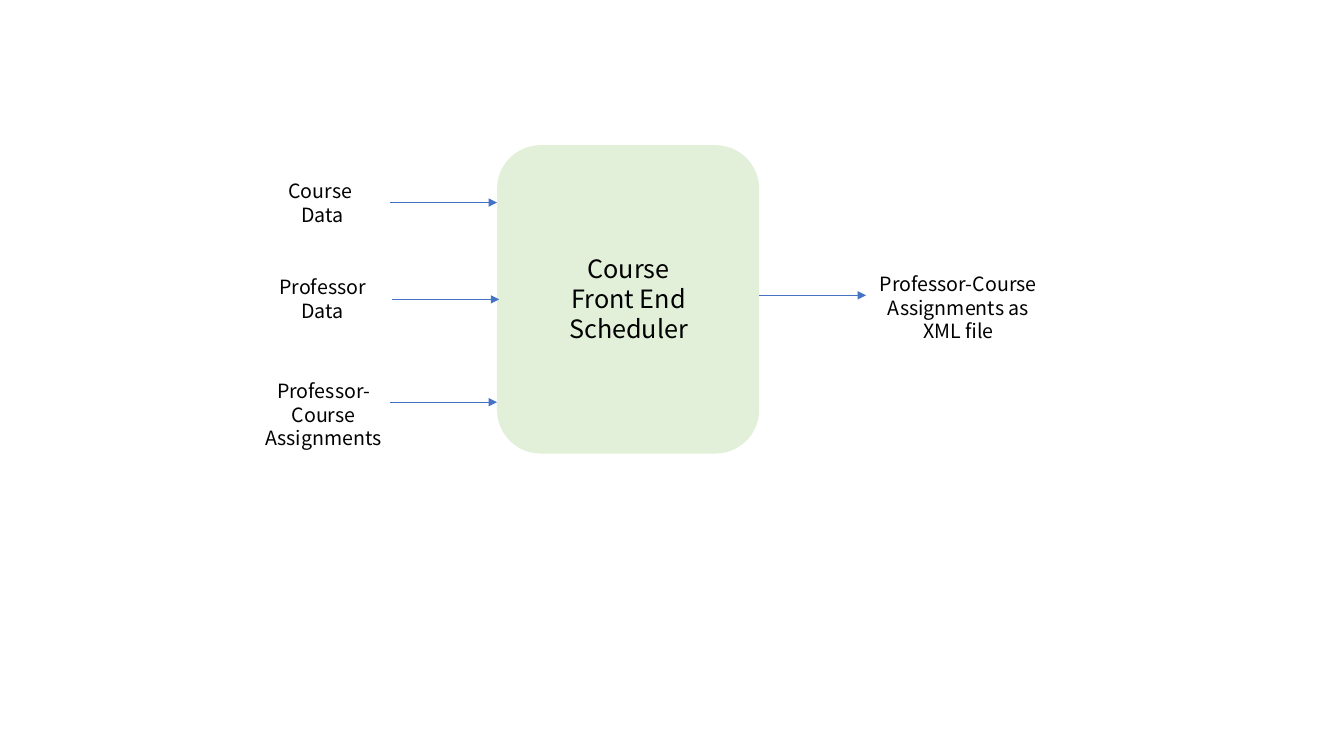
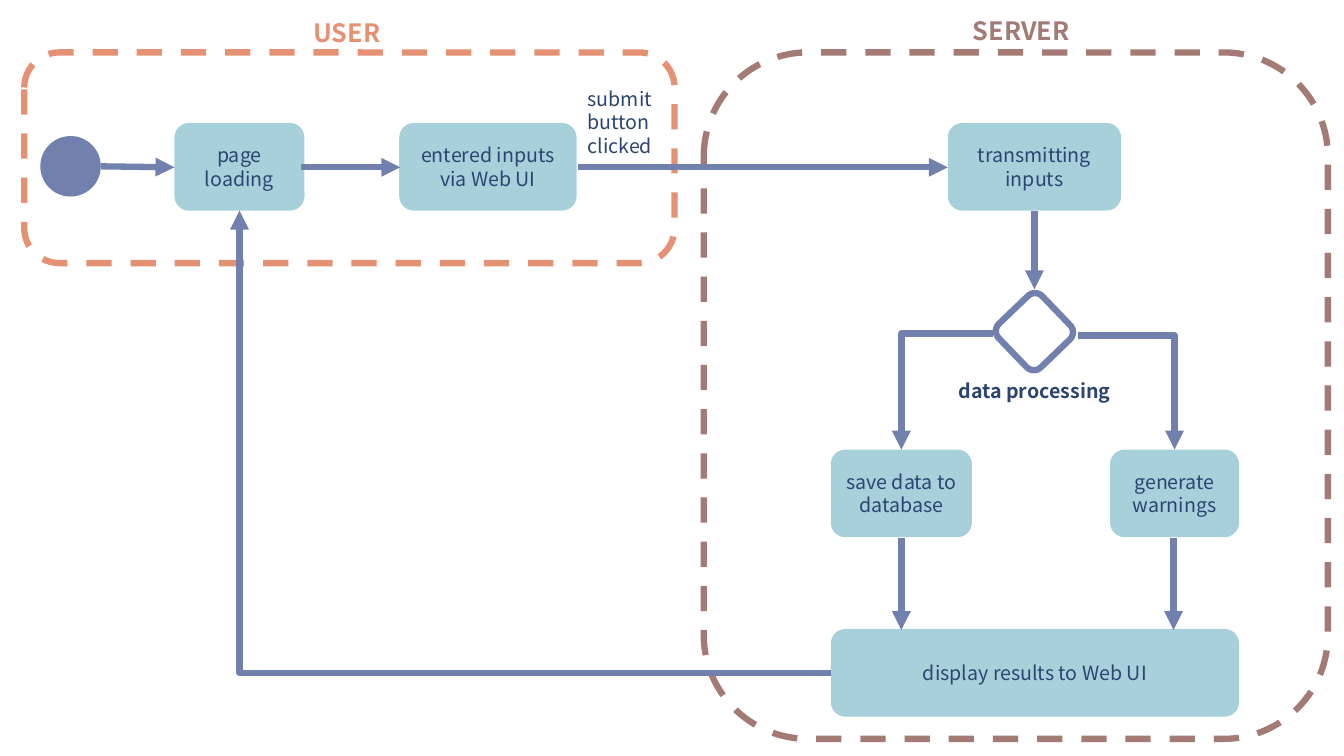
from lxml import etree
from pptx import Presentation
from pptx.dml.color import RGBColor
from pptx.enum.dml import MSO_LINE
from pptx.enum.shapes import MSO_CONNECTOR, MSO_SHAPE
from pptx.enum.text import MSO_ANCHOR, PP_ALIGN
from pptx.oxml.ns import qn
from pptx.util import Inches, Pt

ROUNDED = MSO_SHAPE.ROUNDED_RECTANGLE
OVAL = MSO_SHAPE.OVAL
STRAIGHT = MSO_CONNECTOR.STRAIGHT
ELBOW = MSO_CONNECTOR.ELBOW
DASH = MSO_LINE.DASH
LEFT, CENTER = PP_ALIGN.LEFT, PP_ALIGN.CENTER
TOP, MIDDLE = MSO_ANCHOR.TOP, MSO_ANCHOR.MIDDLE

FONT = "Noto Sans CJK JP"
LINE_PITCH = 1.2
THICK, THIN = 4.5, 0.5
BLACK = "000000"
BLUE = "4472C4"
GREEN = "E2F0D9"
ORANGE = "E49273"
BROWN = "A37A74"
SLATE = "7180AC"
AQUA = "A8D0DB"
NAVY = "2B4570"

# Connection sites of a rectangle
SITE_TOP, SITE_LEFT, SITE_BOTTOM = 0, 1, 2


def color(value):
    return RGBColor.from_string(value)


class Diagram:
    """Holds the shared style and the current slide."""

    def __init__(self):
        self.presentation = Presentation()
        self.presentation.slide_width = Inches(13.33)
        self.presentation.slide_height = Inches(7.5)
        self.slide = None

    def new_slide(self):
        layout = self.presentation.slide_layouts[6]
        self.slide = self.presentation.slides.add_slide(layout)

    def set_text(self, shape, text, size, text_color, bold, align, anchor):
        frame = shape.text_frame
        frame.word_wrap = True
        frame.vertical_anchor = anchor
        frame.text = text
        for paragraph in frame.paragraphs:
            paragraph.alignment = align
            paragraph.line_spacing = Pt(round(size * LINE_PITCH, 1))
            font = paragraph.font
            font.name, font.size, font.bold = FONT, Pt(size), bold
            font.color.rgb = color(text_color)

    def shape(self, kind, left, top, width, height, fill=None, line=None):
        shape = self.slide.shapes.add_shape(
            kind, Inches(left), Inches(top), Inches(width), Inches(height))
        shape.shadow.inherit = False
        if fill:
            shape.fill.solid()
            shape.fill.fore_color.rgb = color(fill)
        else:
            shape.fill.background()
        if line:
            shape.line.color.rgb = color(line)
            shape.line.width = Pt(THICK)
        else:
            shape.line.fill.background()
        return shape

    def step(self, text, left, top, width):
        box = self.shape(ROUNDED, left, top, width, 0.87, fill=AQUA)
        self.set_text(box, text, 14, NAVY, False, CENTER, MIDDLE)
        return box

    def zone(self, left, width, height, line):
        frame = self.shape(ROUNDED, left, 0.52, width, height, line=line)
        frame.line.dash_style = DASH

    def label(self, text, left, top, width, height, size=14,
              text_color=BLACK, bold=False, align=CENTER):
        box = self.slide.shapes.add_textbox(
            Inches(left), Inches(top), Inches(width), Inches(height))
        self.set_text(box, text, size, text_color, bold, align, TOP)

    def arrow(self, start, end, line=SLATE, width=THICK, kind=STRAIGHT):
        connector = self.slide.shapes.add_connector(
            kind, *(Inches(value) for value in (*start, *end)))
        connector.line.color.rgb = color(line)
        connector.line.width = Pt(width)
        properties = connector._element.spPr
        outline = properties.find(qn("a:ln"))
        etree.SubElement(outline, qn("a:tailEnd"), type="triangle")
        etree.SubElement(properties, qn("a:effectLst"))
        return connector

    def corner_arrow(self, start, end, target, site):
        """Runs across first, then up or down into the target."""
        connector = self.arrow(start, end, kind=ELBOW)
        geometry = connector._element.spPr.find(qn("a:prstGeom"))
        geometry.set("prst", "bentConnector2")
        connector.end_connect(target, site)
        return connector


def build_context(diagram):
    diagram.new_slide()

    # Scheduler
    diagram.shape(ROUNDED, 4.93, 1.44, 2.6, 3.06, fill=GREEN)
    diagram.label("Course Front End Scheduler", 5.53, 2.46, 1.41, 1.01, size=18)

    # Inputs
    inputs = [
        ("Course \nData", 1.73, 1.34, 0.57, 3.87, 2.01),
        ("Professor Data", 2.68, 1.34, 0.57, 3.89, 2.97),
        ("Professor-Course Assignments", 3.71, 1.36, 0.81, 3.87, 3.99),
    ]
    for text, top, width, height, x, y in inputs:
        diagram.label(text, 2.53, top, width, height)
        diagram.arrow((x, y), (x + 1.06, y), BLUE, THIN)

    # Output
    diagram.arrow((7.53, 2.93), (8.59, 2.93), BLUE, THIN)
    diagram.label("Professor-Course Assignments as XML file",
                  8.58, 2.65, 1.85, 0.81)


def build_flow(diagram):
    diagram.new_slide()

    # User and server zones
    diagram.zone(0.24, 6.45, 2.09, ORANGE)
    diagram.label("USER", 3.01, 0.12, 1.02, 0.4, 18, ORANGE, True, LEFT)
    diagram.label("SERVER", 9.55, 0.1, 1.25, 0.4, 18, BROWN, True, LEFT)

    # Start, steps and decision
    diagram.shape(OVAL, 0.4, 1.35, 0.6, 0.6, fill=SLATE)
    loading = diagram.step("page loading", 1.73, 1.22, 1.29)
    diagram.step("entered inputs via Web UI", 3.96, 1.22, 1.76)
    diagram.step("transmitting inputs", 9.4, 1.22, 1.72)
    saving = diagram.step("save data to database", 8.24, 4.46, 1.4)
    warning = diagram.step("generate warnings", 11.01, 4.46, 1.28)
    results = diagram.step("display results to Web UI", 8.24, 6.24, 4.05)
    decision = diagram.shape(ROUNDED, 9.96, 2.99, 0.6, 0.6, line=SLATE)
    decision.rotation = 316.2
    diagram.label("submit button clicked", 5.73, 0.81, 1.14, 0.81,
                  text_color=NAVY, align=LEFT)
    diagram.label("data processing", 9.4, 3.71, 1.72, 0.34,
                  text_color=NAVY, bold=True)
    diagram.zone(6.98, 6.19, 6.81, BROWN)

    # Straight arrows
    for start, end in [
        ((1, 1.65), (1.73, 1.66)),
        ((2.99, 1.66), (3.97, 1.66)),
        ((5.73, 1.66), (9.4, 1.66)),
        ((10.26, 2.09), (10.26, 2.87)),
        ((8.94, 5.34), (8.94, 6.25)),
        ((11.64, 5.34), (11.64, 6.25)),
    ]:
        diagram.arrow(start, end)

    # Arrows with a corner
    diagram.corner_arrow((9.85, 3.31), (8.94, 4.46), saving, SITE_TOP)
    diagram.corner_arrow((10.69, 3.33), (11.65, 4.46), warning, SITE_TOP)
    back = diagram.corner_arrow((8.24, 6.68), (2.37, 2.09), loading, SITE_BOTTOM)
    back.begin_connect(results, SITE_LEFT)


def main():
    diagram = Diagram()
    build_context(diagram)
    build_flow(diagram)
    diagram.presentation.save("out.pptx")


if __name__ == "__main__":
    main()
